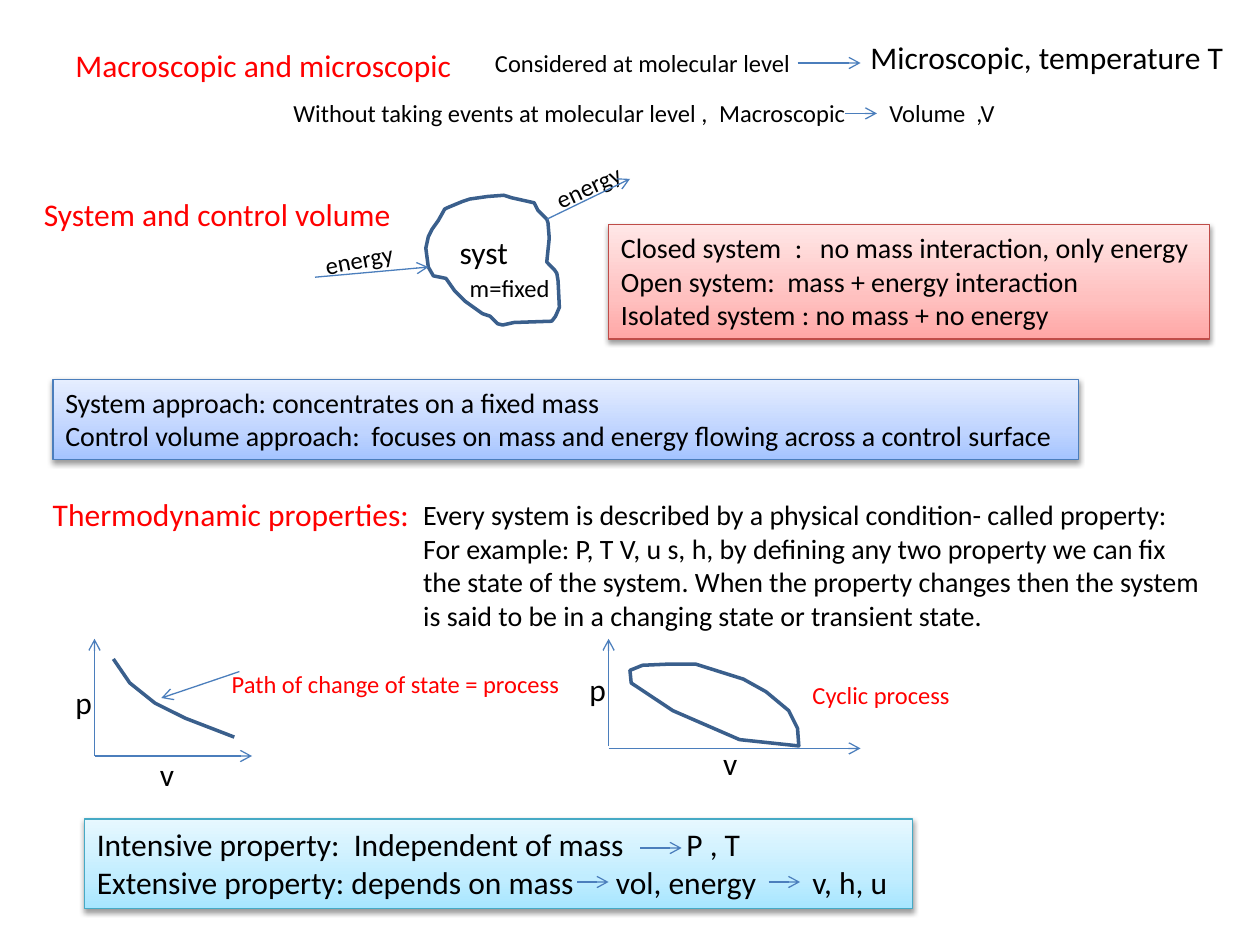
from copy import deepcopy
from dataclasses import dataclass

from lxml import etree
from pptx import Presentation
from pptx.dml.color import RGBColor
from pptx.enum.shapes import MSO_CONNECTOR, MSO_SHAPE
from pptx.enum.text import MSO_ANCHOR, PP_ALIGN
from pptx.oxml.ns import qn
from pptx.util import Inches, Pt

STRAIGHT = MSO_CONNECTOR.STRAIGHT
RECTANGLE = MSO_SHAPE.RECTANGLE
TOP = MSO_ANCHOR.TOP
LEFT = PP_ALIGN.LEFT
FONT = "Calibri"
COLORS = {"text": "000000", "heading": "FF0000", "arrow": "4B7EBC", "outline": "3A5F8C"}
GRADIENT_POSITIONS = (0, 0.35, 1)


@dataclass
class Line:
    text: str
    tabs: tuple[float, ...] = ()


@dataclass
class Label:
    area: tuple[float, float, float, float]
    lines: list[Line]
    size: int
    color: str = "text"
    rotation: float = 0


@dataclass
class Panel:
    label: Label
    border: str
    gradient: tuple[str, str, str]


@dataclass
class Arrow:
    start: tuple[float, float]
    end: tuple[float, float]


@dataclass
class Outline:
    points: list[tuple[float, float]]
    closed: bool


LABELS = [
    Label((0.5, 0.32, 3.28, 0.4), [Line("Macroscopic and microscopic")], 18, "heading"),
    Label((3.83, 0.33, 3, 0.34), [Line("Considered at molecular level")], 14),
    Label((6.81, 0.25, 3.03, 0.4), [Line("Microscopic, temperature T")], 18),
    Label((2.23, 0.73, 5.82, 0.34), [
        Line("Without taking events at molecular level ,\tMacroscopic\tVolume\t,V", (3.38, 4.73, 5.42))], 14),
    Label((0.25, 1.5, 2.98, 0.4), [Line("System and control volume")], 18, "heading"),
    Label((3.55, 1.8, 0.59, 0.4), [Line("syst")], 18),
    Label((3.63, 2.12, 0.84, 0.34), [Line("m=fixed")], 14),
    Label((2.48, 1.89, 0.75, 0.34), [Line("energy")], 14, rotation=349.3),
    Label((4.3, 1.31, 0.75, 0.34), [Line("energy")], 14, rotation=335.3),
    Label((0.32, 3.88, 3.12, 0.4), [Line("Thermodynamic properties:")], 18, "heading"),
    Label((3.26, 3.9, 6.49, 1.18), [
        Line("Every system is described by a physical condition- called property:"),
        Line("For example: P, T V, u s, h, by defining any two property we can fix"),
        Line("the state of the system. When the property changes then the system"),
        Line("is said to be in a changing state or transient state.")], 16),
    Label((0.5, 5.37, 0.34, 0.4), [Line("p")], 18),
    Label((1.17, 5.94, 0.32, 0.4), [Line("v")], 18),
    Label((1.74, 5.26, 2.82, 0.34), [Line("Path of change of state = process")], 14, "heading"),
    Label((6.35, 5.35, 1.3, 0.34), [Line("Cyclic process")], 14, "heading"),
    Label((4.58, 5.27, 0.34, 0.4), [Line("p")], 18),
    Label((5.64, 5.86, 0.32, 0.4), [Line("v")], 18),
]

PANELS = [
    Panel(Label((4.83, 1.78, 4.77, 0.91), [
        Line("Closed system\t:\tno mass interaction, only energy", (1.38, 1.58)),
        Line("Open system:\tmass + energy interaction", (1.32,)),
        Line("Isolated system : no mass + no energy")], 16),
        "BF4C48", ("FFA6A5", "FFC0BF", "FFE7E7")),
    Panel(Label((0.42, 3.01, 8.14, 0.64), [
        Line("System approach: concentrates on a fixed mass"),
        Line("Control volume approach:\tfocuses on mass and energy flowing across a control surface", (2.43,))], 16),
        "4B7EBC", ("A4C4FF", "BFD4FF", "E6EEFF")),
    Panel(Label((0.67, 6.5, 6.57, 0.71), [
        Line("Intensive property:\tIndependent of mass\tP , T", (2.04, 4.68)),
        Line("Extensive property: depends on mass\tvol, energy\tv, h, u", (4.12, 5.68))], 18),
        "46AAC5", ("A7E6FF", "C1EDFF", "E7F8FF")),
]

ARROWS = [
    Arrow((6.33, 0.5), (6.83, 0.5)),
    Arrow((6.71, 0.9), (6.96, 0.9)),
    Arrow((2.5, 2.2), (3.4, 2.12)),
    Arrow((4.34, 1.74), (5, 1.42)),
    Arrow((0.75, 6), (2, 6)),
    Arrow((0.75, 6), (0.75, 5.07)),
    Arrow((1.9, 5.33), (1.28, 5.54)),
    Arrow((4.83, 5.92), (4.83, 5.07)),
    Arrow((4.83, 5.94), (6.83, 5.94)),
    Arrow((4.58, 7), (4.83, 7)),
    Arrow((5.08, 6.73), (5.41, 6.73)),
    Arrow((6.1, 7), (6.35, 7)),
]

SYSTEM_BOUNDARY = Outline([
    (3.53, 1.66), (3.48, 1.75), (3.43, 1.82), (3.4, 1.88), (3.38, 1.97), (3.4, 2.12), (3.44, 2.19),
    (3.54, 2.21), (3.61, 2.31), (3.69, 2.39), (3.83, 2.49), (3.89, 2.51), (3.95, 2.57), (3.99, 2.58),
    (4.08, 2.56), (4.38, 2.55), (4.41, 2.51), (4.44, 2.44), (4.43, 2.23), (4.42, 2.17), (4.4, 2.14),
    (4.34, 2.08), (4.36, 1.89), (4.35, 1.77), (4.34, 1.74), (4.27, 1.67), (4.24, 1.61), (4.06, 1.57),
    (4, 1.55), (3.87, 1.56), (3.73, 1.58), (3.67, 1.6), (3.55, 1.65)], True)
PROCESS_PATH = Outline([(0.9, 5.23), (1.03, 5.42), (1.23, 5.58), (1.47, 5.7), (1.86, 5.85)], False)
CYCLE_PATH = Outline([
    (5.01, 5.42), (5.34, 5.64), (5.87, 5.87), (6.34, 5.92), (6.33, 5.78), (6.26, 5.64), (6.08, 5.49),
    (5.9, 5.39), (5.52, 5.27), (5.32, 5.27), (5.1, 5.28), (5, 5.32)], True)


def write_text(shape, label: Label) -> None:
    frame = shape.text_frame
    frame.text = "\n".join(line.text for line in label.lines)
    frame.word_wrap = any(line.tabs for line in label.lines)
    frame.vertical_anchor = TOP
    for para, line in zip(frame.paragraphs, label.lines):
        para.alignment = LEFT
        if line.tabs:
            tab_list = etree.SubElement(para._p.get_or_add_pPr(), qn("a:tabLst"))
            for position in line.tabs:
                etree.SubElement(tab_list, qn("a:tab"), pos=str(Inches(position)), algn="l")
        for span in para.runs:
            span.font.name = FONT
            span.font.size = Pt(label.size)
            span.font.color.rgb = RGBColor.from_string(COLORS[label.color])


def draw_label(page, label: Label) -> None:
    box = page.shapes.add_textbox(*map(Inches, label.area))
    box.rotation = label.rotation
    write_text(box, label)


def draw_panel(page, panel: Panel) -> None:
    box = page.shapes.add_shape(RECTANGLE, *map(Inches, panel.label.area))
    box.fill.gradient()
    box.fill.gradient_angle = 90
    properties = box._element.spPr
    stop_list = properties.find(".//" + qn("a:gsLst"))
    stop_list.append(deepcopy(stop_list[0]))
    for stop, position, color in zip(box.fill.gradient_stops, GRADIENT_POSITIONS, panel.gradient):
        stop.position = position
        stop.color.rgb = RGBColor.from_string(color)
    box.line.color.rgb = RGBColor.from_string(panel.border)
    box.line.width = Pt(0.75)
    box.shadow.inherit = False
    shadow = etree.SubElement(
        properties.find(qn("a:effectLst")), qn("a:outerShdw"),
        blurRad=str(Pt(3.1)), dist=str(Pt(1.6)), dir="5400000", rotWithShape="0")
    shade = etree.SubElement(shadow, qn("a:srgbClr"), val=COLORS["text"])
    etree.SubElement(shade, qn("a:alpha"), val="38000")
    write_text(box, panel.label)


def draw_arrow(page, arrow: Arrow) -> None:
    connector = page.shapes.add_connector(STRAIGHT, *map(Inches, arrow.start + arrow.end))
    connector.line.color.rgb = RGBColor.from_string(COLORS["arrow"])
    connector.line.width = Pt(0.75)
    etree.SubElement(connector.line._get_or_add_ln(), qn("a:tailEnd"), type="arrow")
    etree.SubElement(connector._element.spPr, qn("a:effectLst"))


def draw_outline(page, outline: Outline) -> None:
    points = [(Inches(x), Inches(y)) for x, y in outline.points]
    builder = page.shapes.build_freeform(*points[0])
    builder.add_line_segments(points[1:], close=outline.closed)
    shape = builder.convert_to_shape()
    shape.fill.background()
    shape.line.color.rgb = RGBColor.from_string(COLORS["outline"])
    shape.line.width = Pt(2)
    shape.shadow.inherit = False


def main() -> None:
    """Build the slide on thermodynamic systems and properties."""
    deck = Presentation()
    deck.slide_width, deck.slide_height = Inches(10), Inches(7.5)
    page = deck.slides.add_slide(deck.slide_layouts[6])
    for panel in PANELS:
        draw_panel(page, panel)
    for outline in (SYSTEM_BOUNDARY, PROCESS_PATH, CYCLE_PATH):
        draw_outline(page, outline)
    for label in LABELS:
        draw_label(page, label)
    for arrow in ARROWS:
        draw_arrow(page, arrow)
    deck.save("out.pptx")


if __name__ == "__main__":
    main()
